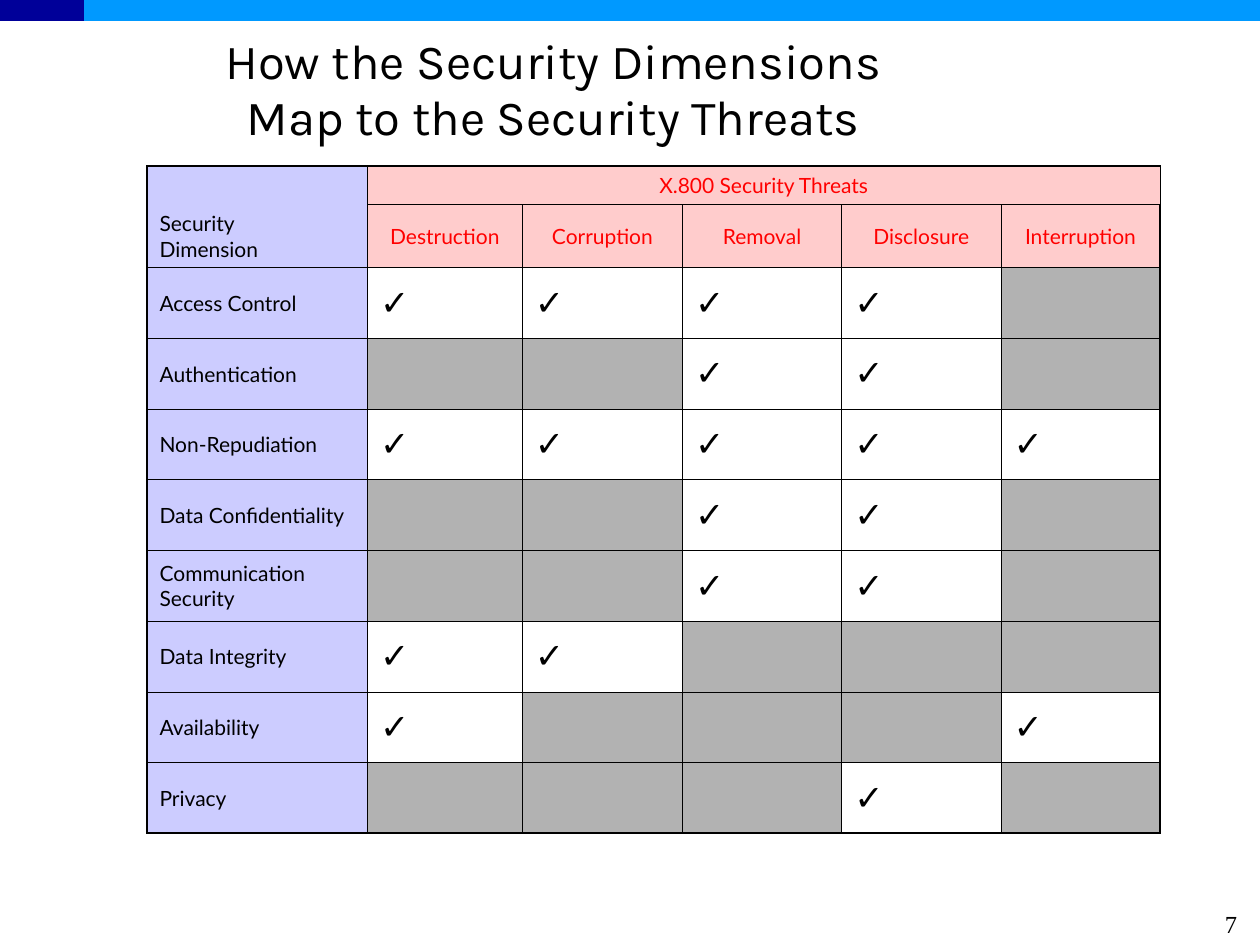
import pptx
import pptx.dml.color
import pptx.enum.shapes
import pptx.enum.text
import pptx.oxml.ns
import pptx.util
from lxml import etree

Pt = pptx.util.Pt
RGBColor = pptx.dml.color.RGBColor
ALIGN = pptx.enum.text.PP_ALIGN
ANCHOR = pptx.enum.text.MSO_ANCHOR

BLACK = RGBColor(0x00, 0x00, 0x00)
WHITE = RGBColor(0xFF, 0xFF, 0xFF)
NAVY = RGBColor(0x00, 0x00, 0x99)
SKY = RGBColor(0x00, 0x99, 0xFF)
LILAC = RGBColor(0xCC, 0xCC, 0xFF)
PINK = RGBColor(0xFF, 0xCC, 0xCC)
RED = RGBColor(0xFF, 0x00, 0x00)
GREY = RGBColor(0xB2, 0xB2, 0xB2)

THREATS = ["Destruction", "Corruption", "Removal", "Disclosure", "Interruption"]
# Each letter is the initial of a threat that the dimension addresses.
DIMENSIONS = [
    ("Access Control", "DCRL"),
    ("Authentication", "RL"),
    ("Non-Repudiation", "DCRLI"),
    ("Data Confidentiality", "RL"),
    ("Communication Security", "RL"),
    ("Data Integrity", "DC"),
    ("Availability", "DI"),
    ("Privacy", "L"),
]
THREAT_KEYS = "DCRLI"  # L stands for Disclosure

COLUMN_WIDTHS = [126, 88.5, 91.5, 91, 91, 91]
ROW_HEIGHTS = [22, 35.75] + [40.4] * len(DIMENSIONS)
OUTER_LINE, INNER_LINE = 1.08, 0.45


def add_run(paragraph, text, font_name, size, color=BLACK, bold=False):
    run = paragraph.add_run()
    run.text = text
    run.font.name = font_name
    run.font.size = Pt(size)
    run.font.bold = bold
    run.font.color.rgb = color


def add_top_band(slide, left, top, width, height):
    for bar_width, color in ((width, SKY), (width / 15, NAVY)):
        bar = slide.shapes.add_shape(
            pptx.enum.shapes.MSO_SHAPE.RECTANGLE,
            Pt(left), Pt(top), Pt(bar_width), Pt(height))
        bar.shadow.inherit = False
        bar.fill.solid()
        bar.fill.fore_color.rgb = color
        bar.line.fill.background()


def place_title(slide, left, top, width, height):
    title = slide.shapes.title
    title.left, title.top, title.width, title.height = map(Pt, (left, top, width, height))
    frame = title.text_frame
    frame.margin_left = frame.margin_right = frame.margin_top = frame.margin_bottom = 0
    frame.word_wrap = True
    frame.auto_size = pptx.enum.text.MSO_AUTO_SIZE.NONE
    frame.vertical_anchor = ANCHOR.MIDDLE
    paragraph = frame.paragraphs[0]
    paragraph.alignment = ALIGN.CENTER
    paragraph.line_spacing = Pt(32)
    add_run(paragraph, "How the Security Dimensions Map to the Security Threats", "Karla", 28)


def set_borders(cell, row, column):
    """Draw thin lines inside the grid and thicker ones around it."""
    on_edge = {
        "a:lnL": column == 0,
        "a:lnR": column == len(COLUMN_WIDTHS) - 1,
        "a:lnT": row == 0,
        "a:lnB": row == len(ROW_HEIGHTS) - 1,
    }
    qn = pptx.oxml.ns.qn
    properties = cell._tc.get_or_add_tcPr()
    for tag, outer in on_edge.items():
        line = etree.SubElement(properties, qn(tag))
        line.set("w", str(Pt(OUTER_LINE if outer else INNER_LINE)))
        fill = etree.SubElement(line, qn("a:solidFill"))
        etree.SubElement(fill, qn("a:srgbClr")).set("val", str(BLACK))


def fill_cell(cell, color, anchor=ANCHOR.MIDDLE):
    cell.fill.solid()
    cell.fill.fore_color.rgb = color
    cell.vertical_anchor = anchor


def add_threat_table(slide, left, top, width, height):
    table = slide.shapes.add_table(
        len(ROW_HEIGHTS), len(COLUMN_WIDTHS),
        Pt(left), Pt(top), Pt(width), Pt(height)).table
    table.first_row = table.horz_banding = False
    for column, column_width in zip(table.columns, COLUMN_WIDTHS):
        column.width = Pt(column_width)
    for row, row_height in zip(table.rows, ROW_HEIGHTS):
        row.height = Pt(row_height)
    for row in range(len(ROW_HEIGHTS)):
        for column in range(len(COLUMN_WIDTHS)):
            set_borders(table.cell(row, column), row, column)

    corner = table.cell(0, 0)
    corner.merge(table.cell(1, 0))
    fill_cell(corner, LILAC, ANCHOR.BOTTOM)
    add_run(corner.text_frame.paragraphs[0], "Security", "Lato", 12)
    add_run(corner.text_frame.add_paragraph(), "Dimension", "Lato", 12)

    heading = table.cell(0, 1)
    heading.merge(table.cell(0, len(THREATS)))
    fill_cell(heading, PINK, ANCHOR.TOP)
    threat_cells = [table.cell(1, column) for column in range(1, len(THREATS) + 1)]
    for cell in threat_cells:
        fill_cell(cell, PINK)
    for cell, text in zip([heading] + threat_cells, ["X.800 Security Threats"] + THREATS):
        paragraph = cell.text_frame.paragraphs[0]
        paragraph.alignment = ALIGN.CENTER
        add_run(paragraph, text, "Lato", 12, RED)

    for row, (dimension, addressed) in enumerate(DIMENSIONS, start=2):
        name_cell = table.cell(row, 0)
        fill_cell(name_cell, LILAC)
        add_run(name_cell.text_frame.paragraphs[0], dimension, "Lato", 12)
        for column, key in enumerate(THREAT_KEYS, start=1):
            cell = table.cell(row, column)
            fill_cell(cell, WHITE if key in addressed else GREY)
            if key in addressed:
                add_run(cell.text_frame.paragraphs[0], "✓", "Arial", 20, bold=True)


def add_page_number(slide, left, top, width, height):
    box = slide.shapes.add_textbox(Pt(left), Pt(top), Pt(width), Pt(height))
    box.text_frame.word_wrap = True
    paragraph = box.text_frame.paragraphs[0]
    paragraph.alignment = ALIGN.RIGHT
    add_run(paragraph, "7", "Times New Roman", 14)


def main():
    presentation = pptx.Presentation()
    presentation.slide_width, presentation.slide_height = Pt(720), Pt(540)
    slide = presentation.slides.add_slide(presentation.slide_layouts[5])
    add_top_band(slide, 0, 0, 720, 12)
    place_title(slide, 108, 18, 416, 66)
    add_threat_table(slide, 84, 95, sum(COLUMN_WIDTHS), sum(ROW_HEIGHTS))
    add_page_number(slide, 564, 516, 150, 36)
    presentation.save("out.pptx")


if __name__ == "__main__":
    main()
